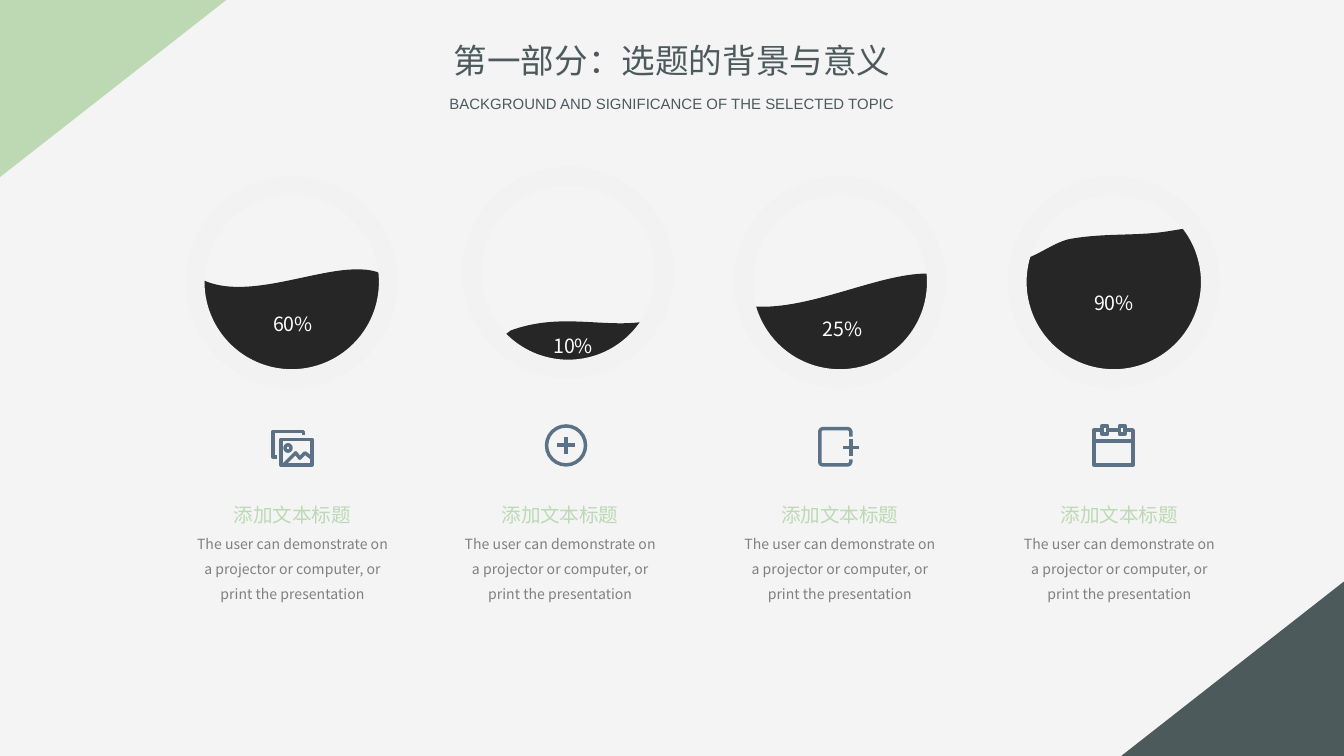
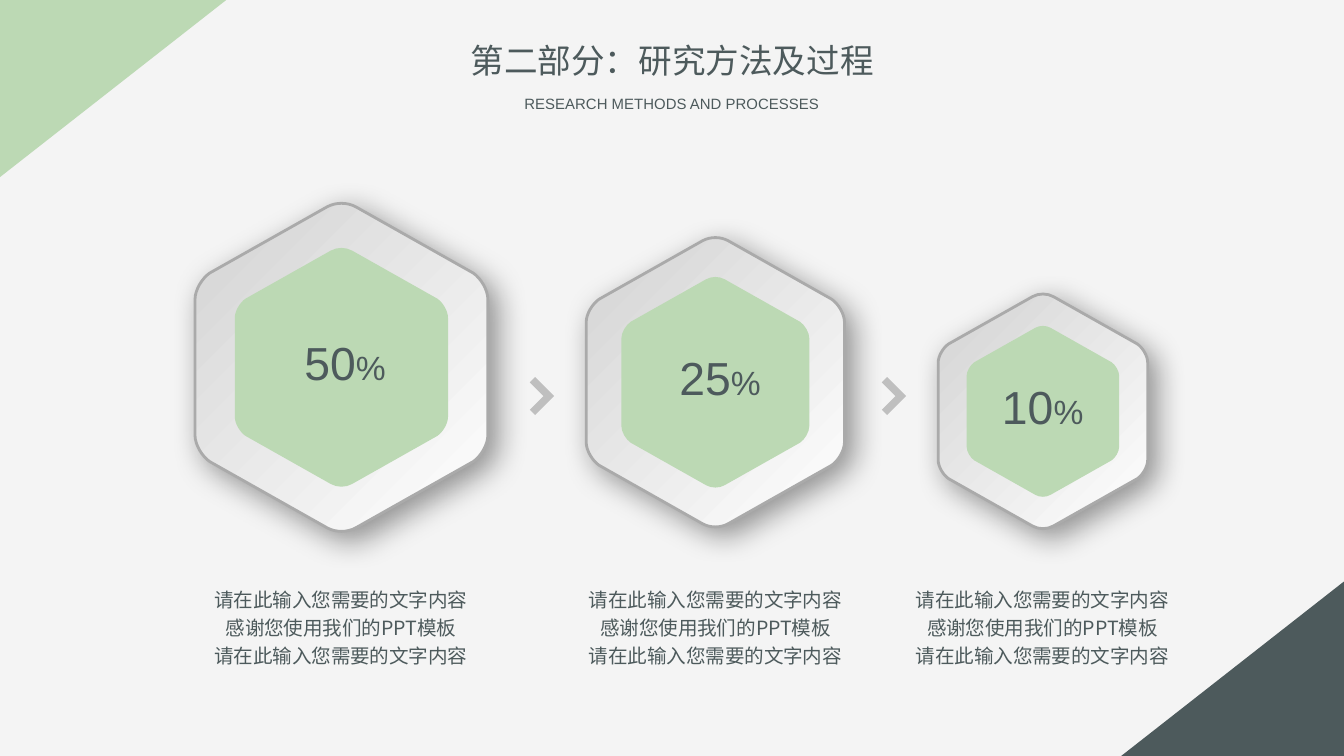
import lxml.etree
import pptx
import pptx.dml.color
import pptx.enum.shapes
import pptx.enum.text
import pptx.oxml.ns
import pptx.util

Pt = pptx.util.Pt
RGBColor = pptx.dml.color.RGBColor
qn = pptx.oxml.ns.qn
SHAPES = pptx.enum.shapes.MSO_SHAPE
ANCHOR = pptx.enum.text.MSO_ANCHOR
CENTER = pptx.enum.text.PP_ALIGN.CENTER

PAPER = RGBColor(0xF4, 0xF4, 0xF4)
GREEN = RGBColor(0xBC, 0xD9, 0xB4)
SLATE = RGBColor(0x4D, 0x5A, 0x5C)
INK = RGBColor(0x26, 0x26, 0x26)
WHITE = RGBColor(0xFF, 0xFF, 0xFF)
GREY = RGBColor(0x80, 0x80, 0x80)
BLUE = RGBColor(0x5B, 0x72, 0x86)
RING = RGBColor(0xF2, 0xF2, 0xF2)
CHEVRON = RGBColor(0xBF, 0xBF, 0xBF)
RIM = RGBColor(0xAA, 0xAA, 0xAA)
SILVER = RGBColor(0xD3, 0xD3, 0xD3)
CJK = "Noto Sans CJK SC"
LATIN = "Arial"

SLIDE_WIDTH, SLIDE_HEIGHT = 720, 405
DEFAULT_INSETS = (7.2, 3.6)

# Corner triangles: left, top, width, height, rotation, colour
CORNERS = [
    (13.1, -13.4, 95.2, 121.6, 90, GREEN),
    (613.4, 298.6, 93.6, 119.5, 270, SLATE),
    (619.2, 304.6, 88.6, 113, 270, SLATE),
]

# Titles: text, box width
BACKGROUND_TITLE = [("第一部分：选题的背景与意义", 250.6),
                    ("BACKGROUND AND SIGNIFICANCE OF THE SELECTED TOPIC", 255.6)]
METHODS_TITLE = [("第二部分：研究方法及过程", 232.6),
                 ("RESEARCH METHODS AND PROCESSES", 174.2)]

# Outlines: a pair is a corner, six numbers are a curve
WAVES = [
    ("60%", [(208.4, 149), (209.1, 167.8, 199.7, 185.8, 183.2, 195.8),
             (166.6, 205.2, 146.5, 205.2, 129.9, 195.1),
             (114.1, 185.8, 104, 167.8, 105.4, 148.3),
             (134.9, 166.3, 186.8, 132.5, 208.4, 149)]),
    ("25%", [(499, 146.6), (502.6, 146.6), (504, 151.2),
             (503.3, 183.6, 467.3, 202.3, 450.7, 205.2),
             (433.4, 208.8, 412.6, 191.5, 402.5, 171.4),
             (398.9, 163.4), (403.9, 164.2),
             (434.9, 166.3, 472.3, 145.4, 499, 146.6)]),
    ("90%", [(639.4, 121.7), (645.1, 130.3, 648.7, 139.7, 648.7, 150.5),
             (648.7, 179.3, 625, 202.3, 596.9, 202.3),
             (568.1, 202.3, 544.8, 179.3, 544.8, 150.5),
             (544.8, 146.9, 544.8, 143.3, 545.4, 140.4), (545.4, 139.7),
             (554.4, 138.2, 563.8, 130.3, 572.4, 128.2),
             (591.1, 124.6, 609.1, 126.7, 626.4, 123.8)]),
    ("10%", [(349.9, 172.1), (348.5, 176.4),
             (340.6, 189.4, 323.3, 198, 303.1, 198),
             (289.4, 198, 277.2, 194.4, 267.8, 187.9),
             (264.2, 184.3), (273.6, 177.1),
             (298.8, 167.8, 320.4, 175, 342, 172.8)]),
]
RINGS = [(104.6, 99.4), (398.2, 99.4), (545, 99.4), (252.7, 94.3)]
RING_SIZE = 103.4
CARD_LEFTS = [98, 241.4, 391.2, 541]
CARD_HEADING = "添加文本标题"
CARD_TEXT = "The user can demonstrate on a projector or computer, or print the presentation"

ICON_FRAMES = [(150.5, 235.4, 16.6, 13.7), (590.4, 228.2, 2.9, 4.3), (599.8, 228.2, 2.9, 4.3)]
ICON_CIRCLES = [(152.7, 238.3, 3.2, 3.4), (292.8, 228.2, 20.9, 20.9)]
ICON_STROKES = [
    [(148.3, 244.8), (146.2, 244.8), (146.2, 231.1), (162.7, 231.1), (162.7, 233.3)],
    [(151.9, 249.1), (158.4, 242.6), (160.6, 245.5), (163.4, 242.6), (167, 245.5)],
    [(455.8, 246.2), (455.8, 247.7), (455.8, 248.4, 455, 249.1, 454.3, 249.1),
     (440.6, 249.1), (439.9, 249.1, 439.2, 248.4, 439.2, 247.7),
     (439.2, 231.1), (439.2, 230.4, 439.9, 229.7, 440.6, 229.7),
     (454.3, 229.7), (455, 229.7, 455.8, 230.4, 455.8, 231.1), (455.8, 234)],
    [(603.4, 230.4), (607, 230.4), (607, 249.1), (586.1, 249.1), (586.1, 230.4), (589.7, 230.4)],
]
ICON_LINES = [
    (303.3, 234, 303.3, 243.4), (298.3, 238.5, 308.2, 238.5),
    (455.8, 235.4, 455.8, 244.1), (460.1, 239.8, 451.4, 239.8),
    (586.1, 236.2, 607, 236.2), (594, 230.4, 599, 230.4),
]

# Half of a rounded hexagon, from -1 to 1 each way; the other half mirrors it
HALF_HEXAGON = [(0.41, -1), (0.47, -1, 0.54, -0.95, 0.57, -0.9), (0.97, -0.1),
                (1, -0.04, 1, 0.04, 0.97, 0.1), (0.57, 0.9),
                (0.54, 0.95, 0.47, 1, 0.41, 1)]
HEXAGON_RATIO, INNER_RATIO = 0.886, 0.728
# Steps: number, hexagon centre, hexagon length, number box, insets, caption left
STEPS = [
    ("25", (383.2, 204.8), 156.2, (314.1, 184.7, 143.3, 33.8), (4.3, 2.2), 305.3),
    ("10", (558.7, 220.4), 126.7, (486.9, 199.1, 143.3, 37.4), DEFAULT_INSETS, 480.4),
    ("50", (182.9, 196.8), 177.1, (113.2, 177.1, 143.3, 33.8), (4.3, 2.2), 104.6),
]
CAPTION = ["请在此输入您需要的文字内容", "感谢您使用我们的PPT模板", "请在此输入您需要的文字内容"]
CHEVRON_POINTS = [(14.4, 14.4), (14.4, 0), (10.4, 0), (10.4, 10.4), (0, 10.4), (0, 14.4)]
CHEVRON_PLACES = [(279.5, 205), (468.1, 205)]


def paint(shape, fill=None, line=None, width=0):
    shape.shadow.inherit = False
    if fill is None:
        shape.fill.background()
    else:
        shape.fill.solid()
        shape.fill.fore_color.rgb = fill
    if line is None:
        shape.line.fill.background()
    else:
        shape.line.color.rgb = line
        shape.line.width = Pt(width)
        lxml.etree.SubElement(shape.element.spPr.find(qn("a:ln")), qn("a:round"))


def add_preset(slide, kind, left, top, width, height):
    return slide.shapes.add_shape(kind, Pt(left), Pt(top), Pt(width), Pt(height))


def trace(segments):
    """List points along an outline, enough to measure its extent."""
    points = [segments[0]]
    for segment in segments[1:]:
        start = points[-1]
        controls = [start, segment[:2], segment[2:4], segment[4:]]
        if len(segment) == 2:
            points.append(segment)
            continue
        for step in range(1, 21):
            t = step / 20
            weights = ((1 - t) ** 3, 3 * t * (1 - t) ** 2, 3 * t * t * (1 - t), t ** 3)
            points.append(tuple(sum(w * control[axis] for w, control in zip(weights, controls))
                                for axis in (0, 1)))
    return points


def add_outline(slide, segments, close=True):
    """Build a freeform over the outline's extent, then give it true curves."""
    xs, ys = zip(*trace(segments))
    left, top, right, bottom = map(Pt, (min(xs), min(ys), max(xs), max(ys)))
    builder = slide.shapes.build_freeform(left, top)
    builder.add_line_segments([(right, top), (right, bottom), (left, bottom)], close=close)
    shape = builder.convert_to_shape()
    path = next(shape.element.iter(qn("a:path")))
    for command in list(path):
        path.remove(command)
    for index, segment in enumerate(segments):
        name = "a:cubicBezTo" if len(segment) == 6 else "a:lnTo" if index else "a:moveTo"
        command = lxml.etree.SubElement(path, qn(name))
        for x, y in zip(segment[::2], segment[1::2]):
            lxml.etree.SubElement(command, qn("a:pt"), x=str(Pt(x) - left), y=str(Pt(y) - top))
    if close:
        lxml.etree.SubElement(path, qn("a:close"))
    return shape


def write(frame, paragraphs, spacing=None):
    """Fill a frame; each paragraph is a list of (text, size, font, colour)."""
    for index, runs in enumerate(paragraphs):
        paragraph = frame.add_paragraph() if index else frame.paragraphs[0]
        paragraph.alignment = CENTER
        if spacing:
            paragraph.line_spacing = spacing
        for text, size, font, colour in runs:
            run = paragraph.add_run()
            run.text = text
            run.font.size = Pt(size)
            run.font.name = font
            run.font.color.rgb = colour
            east_asian = lxml.etree.SubElement(run._r.get_or_add_rPr(), qn("a:ea"))
            east_asian.set("typeface", font)


def set_frame(frame, wrap=True, insets=DEFAULT_INSETS):
    frame.word_wrap = wrap
    frame.auto_size = pptx.enum.text.MSO_AUTO_SIZE.SHAPE_TO_FIT_TEXT
    frame.vertical_anchor = ANCHOR.TOP
    frame.margin_left = frame.margin_right = Pt(insets[0])
    frame.margin_top = frame.margin_bottom = Pt(insets[1])


def add_text(slide, box, paragraphs, spacing=None, wrap=True, insets=DEFAULT_INSETS):
    frame = slide.shapes.add_textbox(*map(Pt, box)).text_frame
    set_frame(frame, wrap, insets)
    write(frame, paragraphs, spacing)


def add_titles(slide, titles):
    (text, width), (subtitle, subtitle_width) = titles
    title = slide.shapes.title
    title.left, title.top = Pt((SLIDE_WIDTH - width) / 2), Pt(18)
    title.width, title.height = Pt(width), Pt(28.8)
    set_frame(title.text_frame, wrap=False)
    write(title.text_frame, [[(text, 18, CJK, SLATE)]])
    add_text(slide, ((SLIDE_WIDTH - subtitle_width) / 2, 47.1, subtitle_width, 17.3),
             [[(subtitle, 8, LATIN, SLATE)]], wrap=False)


def decorate_layout(layout, slide):
    """Put the background and corner triangles on the layout, by way of a slide."""
    layout.background.fill.solid()
    layout.background.fill.fore_color.rgb = PAPER
    for index, (left, top, width, height, rotation, colour) in enumerate(CORNERS):
        corner = add_preset(slide, SHAPES.RIGHT_TRIANGLE, left, top, width, height)
        corner.rotation = rotation
        paint(corner, colour)
        corner.element.nvSpPr.cNvPr.set("id", str(50 + index))
        layout.shapes.element.append(corner.element)


def add_icons(slide):
    frames = [[(x, y), (x + width, y), (x + width, y + height), (x, y + height)]
              for x, y, width, height in ICON_FRAMES]
    icons = [add_outline(slide, points) for points in frames]
    icons += [add_outline(slide, points, close=False) for points in ICON_STROKES]
    icons += [add_preset(slide, SHAPES.OVAL, *box) for box in ICON_CIRCLES]
    for icon in icons:
        paint(icon, line=BLUE, width=1.88)
    for ends in ICON_LINES:
        line = slide.shapes.add_connector(
            pptx.enum.shapes.MSO_CONNECTOR.STRAIGHT, *map(Pt, ends))
        line.line.color.rgb = BLUE
        line.line.width = Pt(1.88)
        lxml.etree.SubElement(line.element.spPr, qn("a:effectLst"))


def build_background(slide):
    for percent, segments in WAVES:
        wave = add_outline(slide, segments)
        paint(wave, INK)
        wave.text_frame.vertical_anchor = ANCHOR.MIDDLE
        write(wave.text_frame, [[(percent, 10.5, CJK, WHITE)]])
    for left in CARD_LEFTS:
        add_text(slide, (left, 259.7, 117.4, 65.5),
                 [[(CARD_HEADING, 10.5, CJK, GREEN)], [(CARD_TEXT, 7.5, CJK, GREY)]],
                 spacing=1.5)
    add_icons(slide)
    for left, top in RINGS:
        ring = add_preset(slide, SHAPES.OVAL, left, top, RING_SIZE, RING_SIZE)
        paint(ring, line=RING, width=10)
    add_titles(slide, BACKGROUND_TITLE)


def add_hexagon(slide, center, length):
    halves = (length / 2, length * HEXAGON_RATIO / 2)
    segments = [
        tuple(center[i % 2] + sign * halves[i % 2] * value for i, value in enumerate(segment))
        for sign in (1, -1) for segment in HALF_HEXAGON]
    hexagon = add_outline(slide, segments)
    hexagon.rotation = 90
    paint(hexagon, GREEN)
    return hexagon


def raise_plate(plate):
    """Give a hexagon its silver gradient, rim and soft shadow."""
    paint(plate, WHITE, RIM, 1.5)
    plate.fill.gradient()
    plate.fill.gradient_angle = 225
    for stop, colour in zip(plate.fill.gradient_stops, (WHITE, SILVER)):
        stop.color.rgb = colour
    effects = plate.element.spPr.find(qn("a:effectLst"))
    shadow = lxml.etree.SubElement(
        effects, qn("a:outerShdw"), blurRad=str(Pt(16)), dist=str(Pt(6)),
        dir="2700000", algn="ctr", rotWithShape="0")
    colour = lxml.etree.SubElement(shadow, qn("a:srgbClr"), val="000000")
    lxml.etree.SubElement(colour, qn("a:alpha"), val="40000")


def build_methods(slide):
    for number, center, length, box, insets, _ in STEPS:
        raise_plate(add_hexagon(slide, center, length))
        add_hexagon(slide, center, length * INNER_RATIO)
        add_text(slide, box, [[(number, 24.8, LATIN, SLATE), ("%", 18, LATIN, SLATE)]],
                 insets=insets)
    for left, top in CHEVRON_PLACES:
        chevron = add_outline(slide, [(left + x, top + y) for x, y in CHEVRON_POINTS])
        chevron.rotation = 315
        paint(chevron, CHEVRON)
    for *_, left in STEPS:
        add_text(slide, (left, 309.4, 156.2, 50.4),
                 [[(line, 10.5, CJK, SLATE)] for line in CAPTION],
                 spacing=1.2, insets=(5, 2.9))
    add_titles(slide, METHODS_TITLE)


def main():
    presentation = pptx.Presentation()
    presentation.slide_width, presentation.slide_height = Pt(SLIDE_WIDTH), Pt(SLIDE_HEIGHT)
    layout = presentation.slide_layouts[5]
    background, methods = [presentation.slides.add_slide(layout) for _ in range(2)]
    decorate_layout(layout, background)
    build_background(background)
    build_methods(methods)
    presentation.save("out.pptx")


if __name__ == "__main__":
    main()
